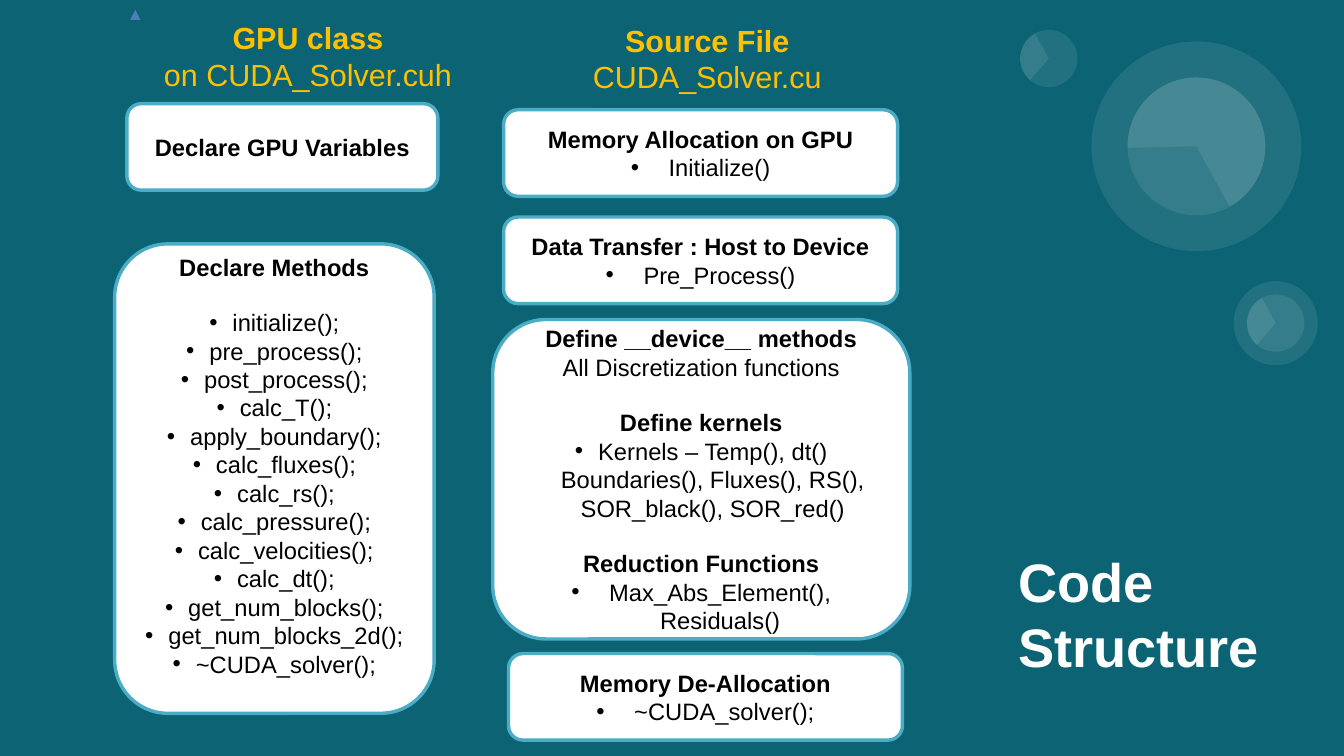
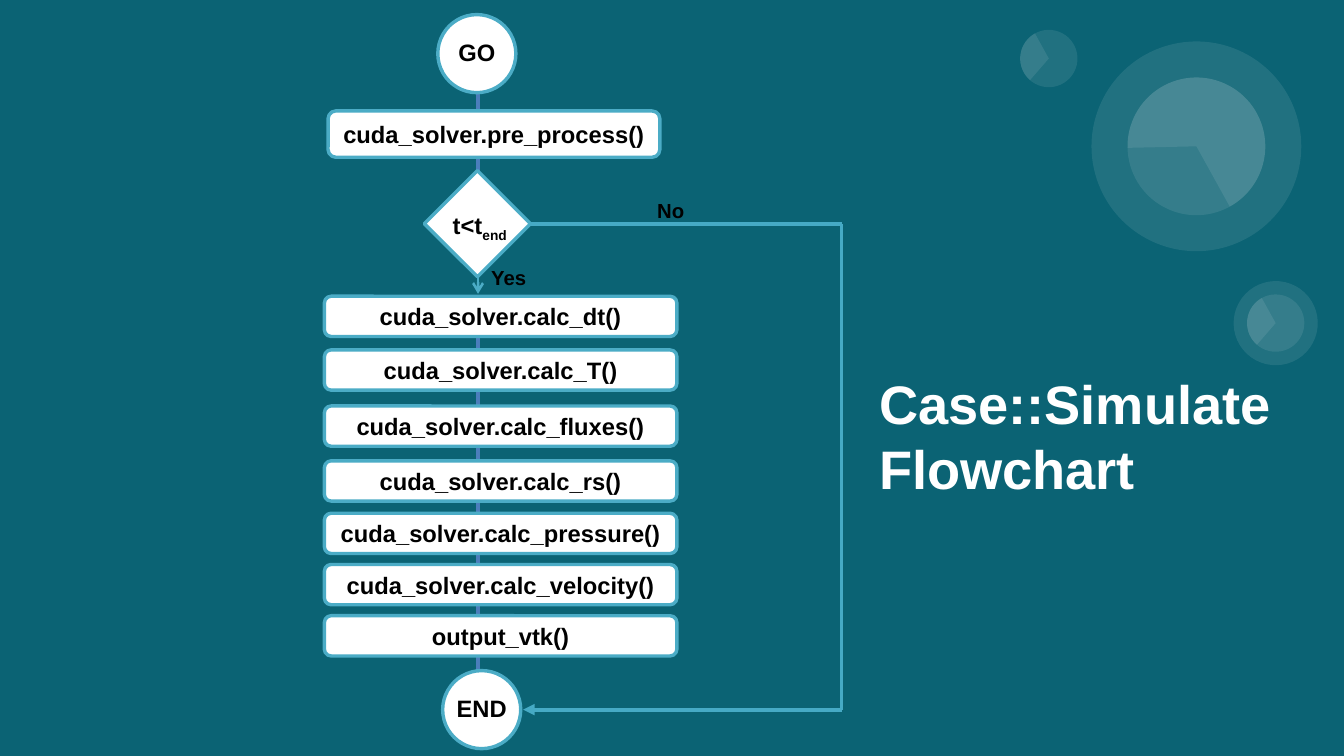
from itertools import pairwise

from lxml.etree import SubElement
from pptx import Presentation
from pptx.dml.color import RGBColor
from pptx.enum.shapes import MSO_CONNECTOR, MSO_SHAPE
from pptx.enum.text import MSO_ANCHOR, PP_ALIGN
from pptx.oxml.ns import qn
from pptx.util import Inches, Pt

TEAL, WHITE, BLACK, GOLD = "0B6374", "FFFFFF", "000000", "FFC000"
OUTLINE, LINK, BRANCH = "4BACC6", "4B7EBC", "46AAC5"
FONT = "Arial"
LINE_GAP = 16  # points, one line of 14 pt text

# centre x, centre y, rotation, disc diameters (the last also holds the pie), pie start
BUBBLES = [
    (9.81, 1.2, 215.8, [1.72, 1.13], 322.95),
    (10.46, 2.65, 35.8, [0.69, 0.47], 95),
    (8.6, 0.48, 35.9, [0.47], 95),
]
PIE_END = 205.23

HEAD = dict(bold=True)
PLAIN = dict(bold=False)
BULLET = dict(bold=False, bullet=0.19)
WIDE_BULLET = dict(bold=False, bullet=0.31)

STRUCTURE_TITLE = ("Code Structure", (8.25, 4.46, 2.78, 1.14))
HEADINGS = [
    ((0.88, 0.11, 3.29, 0.71), "GPU class", "on CUDA_Solver.cuh"),
    ((2.12, 0.13, 7.36, 0.71), "Source File", "CUDA_Solver.cu"),
]
METHODS = [
    "initialize();", "pre_process();", "post_process();", "calc_T();",
    "apply_boundary();", "calc_fluxes();", "calc_rs();", "calc_pressure();",
    "calc_velocities();", "calc_dt();", "get_num_blocks();",
    "get_num_blocks_2d();", "~CUDA_solver();",
]
# place, paragraphs, bottom inset
CODE_BOXES = [
    ((1.04, 0.85, 2.55, 0.71), [("Declare GPU Variables", HEAD)], 0.05),
    ((0.94, 2, 2.62, 3.85),
     [("Declare Methods", HEAD | dict(after=LINE_GAP))]
     + [(method, BULLET) for method in METHODS], 0.27),
    ((4.04, 2.62, 3.42, 2.62), [
        ("Define __device__ methods", HEAD),
        ("All Discretization functions", PLAIN),
        ("Define kernels", HEAD | dict(before=LINE_GAP)),
        ("Kernels – Temp(), dt() Boundaries(), Fluxes(), RS(), "
         "SOR_black(), SOR_red()", BULLET),
        ("Reduction Functions", HEAD | dict(before=LINE_GAP)),
        ("Max_Abs_Element(), Residuals()", WIDE_BULLET),
    ], 0.05),
] + [
    ((left, top, 3.23, 0.71), [(head, HEAD), (call, WIDE_BULLET)], 0.05)
    for left, top, head, call in [
        (4.13, 0.9, "Memory Allocation on GPU", "Initialize()"),
        (4.13, 1.78, "Data Transfer : Host to Device", "Pre_Process()"),
        (4.17, 5.36, "Memory De-Allocation", "~CUDA_solver();"),
    ]
]

FLOW_TITLE = ("Case::Simulate Flowchart", (7.11, 3.23, 3.57, 0.68))
TERMINALS = [("GO", 3.59, 0.12), ("END", 3.63, 5.5)]
PRE_PROCESS = ("cuda_solver.pre_process()", (2.69, 0.91, 2.72, 0.38))
STEP_LEFT, STEP_WIDTH, STEP_HEIGHT = 2.66, 2.89, 0.33
STEPS = [
    ("cuda_solver.calc_dt()", 2.43),
    ("cuda_solver.calc_T()", 2.87),
    ("cuda_solver.calc_fluxes()", 3.33),
    ("cuda_solver.calc_rs()", 3.78),
    ("cuda_solver.calc_pressure()", 4.21),
    ("cuda_solver.calc_velocity()", 4.63),
    ("output_vtk()", 5.05),
]
FLOW_X = 3.92
END_TOP = 5.5
NO_ROUTE = [(4.35, 1.84), (6.9, 1.84), (6.9, 5.82), (4.29, 5.82)]
BRANCH_LABELS = [("No", 5.29, 1.58), ("Yes", 3.93, 2.13)]


def rgb(color):
    return RGBColor.from_string(color)


def write(shape, paragraphs, size=14, color=BLACK, align=PP_ALIGN.CENTER,
          anchor=MSO_ANCHOR.MIDDLE, insets=(0.1, 0.05, 0.1, 0.05), wrap=True):
    """Fill a shape with (text, style) paragraphs; text after "_{" is subscript."""
    frame = shape.text_frame
    frame.word_wrap = wrap
    frame.vertical_anchor = anchor
    (frame.margin_left, frame.margin_top,
     frame.margin_right, frame.margin_bottom) = map(Inches, insets)
    for index, (text, style) in enumerate(paragraphs):
        paragraph = frame.add_paragraph() if index else frame.paragraphs[0]
        paragraph.alignment = align
        paragraph.space_before = Pt(style.get("before", 0))
        paragraph.space_after = Pt(style.get("after", 0))
        if "bullet" in style:
            props = paragraph._p.get_or_add_pPr()
            indent = Inches(style["bullet"])
            props.set("marL", str(indent))
            props.set("indent", str(-indent))
            SubElement(props, qn("a:buFont")).set("typeface", FONT)
            SubElement(props, qn("a:buChar")).set("char", "•")
        for part, piece in enumerate(text.split("_{")):
            run = paragraph.add_run()
            run.text = piece
            run.font.name, run.font.size = FONT, Pt(size)
            run.font.bold = style["bold"]
            run.font.color.rgb = rgb(color)
            if part:
                run._r.get_or_add_rPr().set("baseline", "-25000")


def add_text(slide, place, paragraphs, **text_format):
    write(slide.shapes.add_textbox(*map(Inches, place)), paragraphs, **text_format)


def add_box(slide, place, paragraphs, kind=MSO_SHAPE.ROUNDED_RECTANGLE, **text_format):
    box = slide.shapes.add_shape(kind, *map(Inches, place))
    box.shadow.inherit = False
    box.fill.solid()
    box.fill.fore_color.rgb = rgb(WHITE)
    box.line.color.rgb = rgb(OUTLINE)
    box.line.width = Pt(2)
    write(box, paragraphs, **text_format)


def add_line(slide, start, end, color=LINK, width=2.25, head=None):
    line = slide.shapes.add_connector(
        MSO_CONNECTOR.STRAIGHT, *map(Inches, (*start, *end)))
    line.line.color.rgb = rgb(color)
    line.line.width = Pt(width)
    if head:
        SubElement(line.line._get_or_add_ln(), qn("a:tailEnd")).set("type", head)
    SubElement(line._element.spPr, qn("a:effectLst"))


def add_glass(slide, kind, x, y, diameter, rotation):
    """Add a nearly transparent round shape centred on x, y."""
    glass = slide.shapes.add_shape(kind, *map(Inches, (
        x - diameter / 2, y - diameter / 2, diameter, diameter)))
    glass.rotation = rotation
    glass.shadow.inherit = False
    glass.line.fill.background()
    glass.fill.solid()
    glass.fill.fore_color.rgb = rgb(WHITE)
    tint = glass._element.spPr.find(qn("a:solidFill"))[0]
    SubElement(tint, qn("a:alpha")).set("val", "9000")
    return glass


def add_slide(prs, title, title_place):
    slide = prs.slides.add_slide(prs.slide_layouts[6])
    for x, y, rotation, diameters, pie_start in BUBBLES:
        for diameter in diameters:
            add_glass(slide, MSO_SHAPE.OVAL, x, y, diameter, rotation)
        pie = add_glass(slide, MSO_SHAPE.PIE, x, y, diameters[-1], rotation)
        for index, degrees in enumerate((pie_start, PIE_END)):
            pie.adjustments[index] = degrees * 0.6  # 60000 units a degree, per 100000
    add_text(slide, title_place, [(title, HEAD)], size=32, color=WHITE,
             align=PP_ALIGN.LEFT, insets=(0.1,) * 4)
    return slide


def build_structure(prs):
    slide = add_slide(prs, *STRUCTURE_TITLE)
    for place, paragraphs, bottom in CODE_BOXES:
        add_box(slide, place, paragraphs, insets=(0.1, 0.05, 0.1, bottom))
    for place, heading, file_name in HEADINGS:
        add_text(slide, place, [(heading, HEAD), (file_name, PLAIN)],
                 size=18, color=GOLD, anchor=MSO_ANCHOR.TOP)
    add_line(slide, (1.11, 0.1), (1.11, 0.08), width=0.75, head="triangle")


def build_flowchart(prs):
    slide = add_slide(prs, *FLOW_TITLE)
    tops = [top for _, top in STEPS] + [END_TOP]
    links = [(0.76, 0.91), (1.29, 1.4)]
    links += [(top + STEP_HEIGHT, below) for top, below in pairwise(tops)]
    for top, bottom in links:
        add_line(slide, (FLOW_X, top), (FLOW_X, bottom))

    for label, left, top in TERMINALS:
        add_box(slide, (left, top, 0.64, 0.64), [(label, HEAD)],
                kind=MSO_SHAPE.OVAL, insets=(0, 0, 0, 0.02), wrap=False)
    call, place = PRE_PROCESS
    add_box(slide, place, [(call, HEAD)])
    add_box(slide, (3.48, 1.4, 0.87, 0.87), [("t<t_{end", HEAD)],
            kind=MSO_SHAPE.DIAMOND, insets=(0.04, 0.05, 0, 0), wrap=False)
    for call, top in STEPS:
        add_box(slide, (STEP_LEFT, top, STEP_WIDTH, STEP_HEIGHT), [(call, HEAD)])

    legs = list(pairwise(NO_ROUTE))
    for start, end in legs:
        add_line(slide, start, end, color=BRANCH,
                 head="triangle" if end == NO_ROUTE[-1] else None)
    add_line(slide, (FLOW_X, 2.26), (FLOW_X, 2.41), color=OUTLINE, width=1.5, head="arrow")
    for label, left, top in BRANCH_LABELS:
        add_text(slide, (left, top, 0.8, 0.3), [(label, HEAD)], size=12,
                 align=PP_ALIGN.LEFT, anchor=MSO_ANCHOR.TOP)


def main():
    prs = Presentation()
    prs.slide_width, prs.slide_height = Inches(11.02), Inches(6.2)
    backdrop = prs.slide_master.background.fill
    backdrop.solid()
    backdrop.fore_color.rgb = rgb(TEAL)
    build_structure(prs)
    build_flowchart(prs)
    prs.save("out.pptx")


if __name__ == "__main__":
    main()
